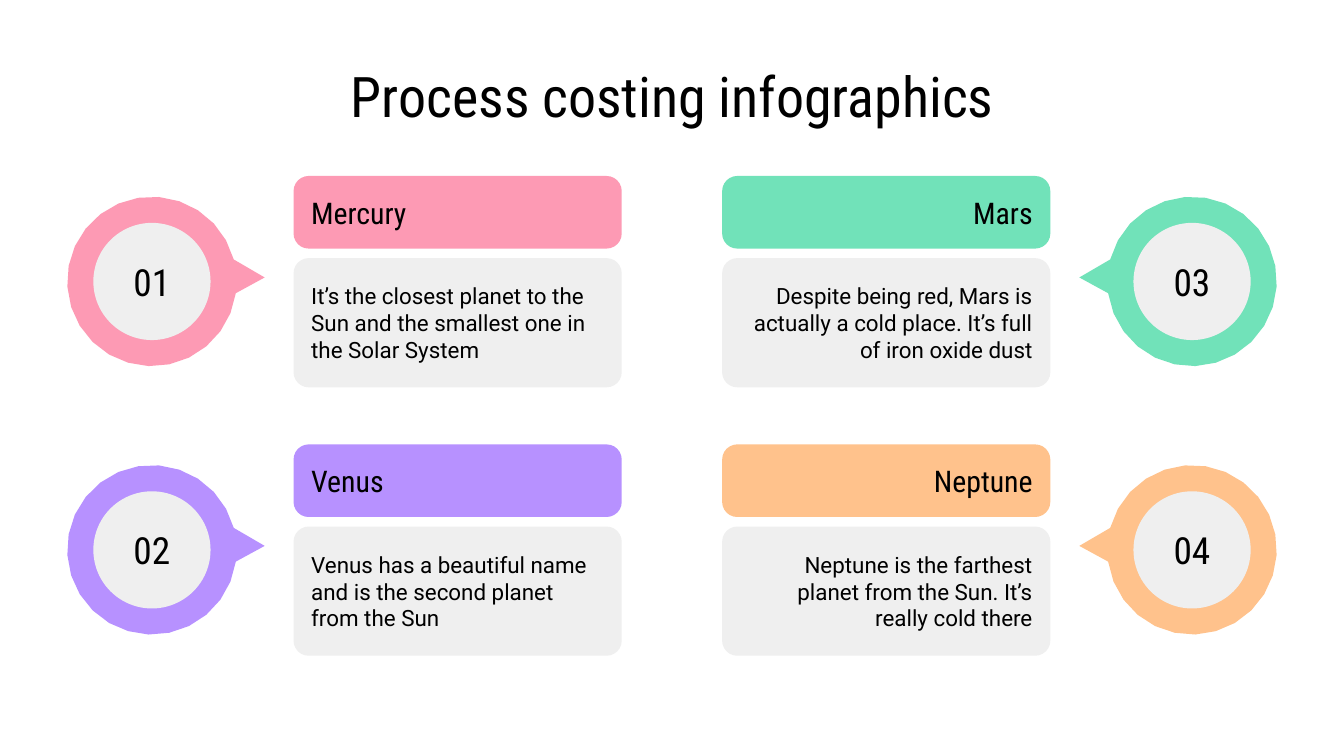
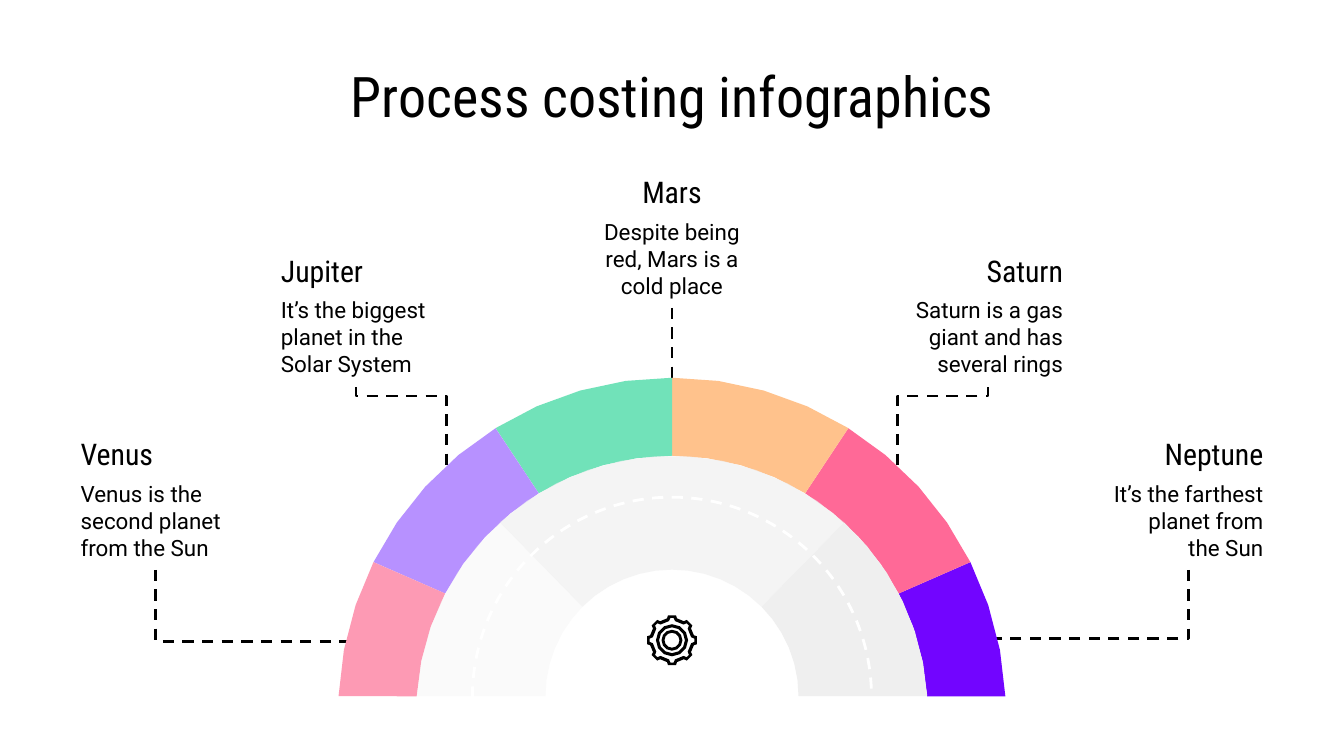
from math import asin, cos, degrees, radians, sin

from lxml.etree import SubElement
from pptx import Presentation
from pptx.dml.color import RGBColor
from pptx.enum.dml import MSO_LINE
from pptx.enum.shapes import MSO_CONNECTOR as Link, MSO_SHAPE as Preset
from pptx.enum.text import MSO_ANCHOR as Anchor, MSO_AUTO_SIZE as AutoSize, PP_ALIGN as Align
from pptx.oxml.ns import qn
from pptx.util import Pt

BLACK = RGBColor(0x00, 0x00, 0x00)
WHITE = RGBColor(0xFF, 0xFF, 0xFF)
GREY = RGBColor(0xEF, 0xEF, 0xEF)
PINK = RGBColor(0xFD, 0x9A, 0xB4)
PURPLE = RGBColor(0xB7, 0x91, 0xFF)
GREEN = RGBColor(0x71, 0xE2, 0xB9)
ORANGE = RGBColor(0xFF, 0xC2, 0x8C)
ROSE = RGBColor(0xFF, 0x69, 0x97)
VIOLET = RGBColor(0x72, 0x05, 0xFF)

HEAD_FONT, BODY_FONT = "Roboto Condensed", "Roboto"
TITLE = "Process costing infographics"
WIDTH, HEIGHT = 720, 405
INSET = 7.2

CARD_X, CARD_W, CARD_TOP, ROW_PITCH = 157.3, 175.8, 94.3, 143.8
HUB_X, HUB_DROP, HUB_R, HUB_HOLE = 81.4, 56.5, 45.4, 31.4

DIAL_X, DIAL_Y, DIAL_BASE = 360, 381.2, 373
DIAL_OUTER, DIAL_INNER, DIAL_HOLE = 178.8, 137, 67.8
GEAR_Y = 343
LABEL_W = 95


def write(shape, text, size, font, align=Align.LEFT, anchor=Anchor.MIDDLE):
    """Put one formatted run into a shape's text frame."""
    frame = shape.text_frame
    frame.word_wrap = True
    frame.auto_size = AutoSize.NONE
    frame.vertical_anchor = anchor
    frame.margin_left = frame.margin_right = Pt(INSET)
    frame.margin_top = frame.margin_bottom = Pt(INSET)
    paragraph = frame.paragraphs[0]
    paragraph.alignment = align
    run = paragraph.add_run()
    run.text = text
    run.font.size = Pt(size)
    run.font.name = font
    run.font.color.rgb = BLACK


def paint(shape, colour, opacity=100):
    """Give a shape a flat fill without line or shadow."""
    shape.shadow.inherit = False
    shape.line.fill.background()
    shape.fill.solid()
    shape.fill.fore_color.rgb = colour
    if opacity < 100:
        tint = shape._element.spPr.find(qn("a:solidFill")).find(qn("a:srgbClr"))
        SubElement(tint, qn("a:alpha")).set("val", str(opacity * 1000))


def dash(line, colour):
    """Make a line dashed and 1.5 points wide."""
    line.width = Pt(1.5)
    line.color.rgb = colour
    line.dash_style = MSO_LINE.DASH


def add_block(shapes, preset, box, colour, radius=None):
    """Add a filled preset shape, with a corner radius if given."""
    block = shapes.add_shape(preset, *map(Pt, box))
    paint(block, colour)
    if radius is not None:
        block.adjustments[0] = radius / min(box[2:])
    return block


def add_outline(shapes, contours, colour, opacity=100):
    """Add a filled freeform made of one or more closed contours."""
    contours = [[(Pt(x), Pt(y)) for x, y in contour] for contour in contours]
    builder = shapes.build_freeform(*contours[0][0])
    builder.add_line_segments(contours[0][1:])
    for contour in contours[1:]:
        builder.move_to(*contour[0])
        builder.add_line_segments(contour[1:])
    paint(builder.convert_to_shape(), colour, opacity)


def polar(x, y, radius, angle):
    """Return the point at an anticlockwise angle in degrees."""
    return x + radius * cos(radians(angle)), y - radius * sin(radians(angle))


def arc(x, y, radius, start, end, step):
    """Return points along a circular arc, about one per step of degrees."""
    count = round(abs(end - start) / step)
    return [polar(x, y, radius, start + (end - start) * i / count) for i in range(count + 1)]


def dial_arc(y, radius, start, end):
    """Return an arc of the dial that stops at its base line."""
    low = degrees(asin((y - DIAL_BASE) / radius))
    start, end = (min(max(angle, low), 180 - low) for angle in (start, end))
    return arc(DIAL_X, y, radius, start, end, 7.5)


def add_titled_slide(deck):
    """Add a slide with the shared title."""
    slide = deck.slides.add_slide(deck.slide_layouts[5])
    title = slide.shapes.title
    title.left, title.top, title.width, title.height = map(Pt, (36, 32.4, 648.7, 37.4))
    write(title, TITLE, 30, HEAD_FONT, Align.CENTER)
    return slide


def add_planet_card(slide, number, planet, fact, colour):
    """Add a heading, a fact and a numbered pin, mirrored in the right column."""
    column, row = divmod(number - 1, 2)
    side = -1 if column else 1
    align = Align.RIGHT if column else Align.LEFT
    left = WIDTH - CARD_X - CARD_W if column else CARD_X
    top = CARD_TOP + row * ROW_PITCH
    hub_x = WIDTH - HUB_X if column else HUB_X
    hub_y = top + HUB_DROP
    shapes = slide.shapes.add_group_shape().shapes

    panel = add_block(shapes, Preset.ROUNDED_RECTANGLE, (left, top + 44, CARD_W, 69.2), GREY, 8.1)
    write(panel, fact, 12, BODY_FONT, align)
    heading = add_block(shapes, Preset.ROUNDED_RECTANGLE, (left, top, CARD_W, 38.9), colour, 8.1)
    write(heading, planet, 16, HEAD_FONT, align)

    rim = arc(0, 0, HUB_R, 15, 352, 14) + [(60.4, -2.1)]
    add_outline(shapes, [[(hub_x + side * x, hub_y + y) for x, y in rim]], colour)
    hole = (hub_x - HUB_HOLE, hub_y - HUB_HOLE, 2 * HUB_HOLE, 2 * HUB_HOLE)
    write(add_block(shapes, Preset.OVAL, hole, GREY), f"{number:02}", 20, HEAD_FONT, Align.CENTER)


def style_leader(leader):
    """Make a connector a dashed black line without shadow."""
    dash(leader.line, BLACK)
    SubElement(leader._element.spPr, qn("a:effectLst"))


def add_elbow(slide, start, end, bend=None):
    """Add a bent leader that leaves downwards; bend is the share before a middle turn."""
    (x1, y1), (x2, y2) = start, end
    mid_x, mid_y = (x1 + x2) / 2, (y1 + y2) / 2
    half_w, half_h = (y2 - y1) / 2, abs(x2 - x1) / 2
    turn = -1 if x2 > x1 else 1
    leader = slide.shapes.add_connector(
        Link.ELBOW,
        Pt(mid_x - turn * half_w), Pt(mid_y - half_h),
        Pt(mid_x + turn * half_w), Pt(mid_y + half_h),
    )
    properties = leader._element.spPr
    properties.find(qn("a:xfrm")).set("rot", str(turn * 90 % 360 * 60000))
    geometry = properties.find(qn("a:prstGeom"))
    if bend is None:
        geometry.set("prst", "bentConnector2")
    else:
        guide = SubElement(geometry.find(qn("a:avLst")), qn("a:gd"))
        guide.set("name", "adj1")
        guide.set("fmla", f"val {round(bend * 100000)}")
    style_leader(leader)


def add_leaders(slide):
    """Add the dashed leaders from the labels to the dial."""
    add_elbow(slide, (83.4, 305.3), (205.2, 343.6))
    add_elbow(slide, (636.6, 305.3), (517.7, 342))
    add_elbow(slide, (190.7, 207.4), (239.2, 267.1), 0.08)
    add_elbow(slide, (529.3, 207.4), (480.8, 267.1), 0.08)
    style_leader(slide.shapes.add_connector(
        Link.STRAIGHT, Pt(DIAL_X), Pt(164.9), Pt(DIAL_X), Pt(217.4)))


def add_dial(slide):
    """Add the half-round dial with its coloured and grey bands."""
    shapes = slide.shapes.add_group_shape().shapes
    outer_cuts = (0, 26.6, 58.1, 90, 121.9, 153.4, 180)
    inner_cuts = (0, 27.5, 58.6, 90, 121.4, 152.5, 180)
    for i, colour in enumerate((VIOLET, ROSE, ORANGE, GREEN, PURPLE, PINK)):
        outer = dial_arc(DIAL_Y, DIAL_OUTER, *outer_cuts[i:i + 2])
        inner = dial_arc(DIAL_Y, DIAL_INNER, *inner_cuts[i:i + 2])
        add_outline(shapes, [outer + inner[::-1]], colour)

    rim_cuts, hole_cuts = (0, 47.7, 132.3, 180), (0, 45, 135, 180)
    for i, opacity in ((2, 31), (0, 100), (1, 67)):
        rim = dial_arc(DIAL_Y, DIAL_INNER, *rim_cuts[i:i + 2])
        hole = dial_arc(DIAL_BASE, DIAL_HOLE, *hole_cuts[i:i + 2])
        add_outline(shapes, [rim + hole[::-1]], GREY, opacity)

    track = shapes.add_shape(Preset.ARC, Pt(253.1), Pt(266.4), Pt(213.8), Pt(213.8))
    track.shadow.inherit = False
    track.fill.background()
    track.adjustments[0], track.adjustments[1] = 107.84, 0
    dash(track.line, WHITE)


def gear_contour(tip, root, tip_half, root_half, teeth=8):
    """Return the toothed contour of the gear."""
    profile = ((root, -root_half), (tip, -tip_half), (tip, tip_half), (root, root_half))
    return [polar(DIAL_X, GEAR_Y, radius, 360 / teeth * tooth + angle)
            for tooth in range(teeth) for radius, angle in profile]


def add_gear(slide):
    """Add the gear icon."""
    shapes = slide.shapes.add_group_shape().shapes
    add_outline(shapes, [gear_contour(13.5, 12, 9, 13), gear_contour(12, 10.4, 4, 9)], BLACK)
    for outer, inner in ((8.6, 6.9), (5.6, 4)):
        circles = [arc(DIAL_X, GEAR_Y, radius, 0, 360, 30) for radius in (outer, inner)]
        add_outline(shapes, circles, BLACK)


def add_label(slide, left, top, align, planet, fact):
    """Add a planet name with its fact below."""
    shapes = slide.shapes.add_group_shape().shapes
    name = shapes.add_textbox(Pt(left), Pt(top), Pt(LABEL_W), Pt(25.2))
    write(name, planet, 16, HEAD_FONT, align)
    detail = shapes.add_textbox(Pt(left), Pt(top + 19.5), Pt(LABEL_W), Pt(55.4))
    write(detail, fact, 12, BODY_FONT, align, Anchor.TOP)


def main():
    """Build both slides and save the deck."""
    deck = Presentation()
    deck.slide_width, deck.slide_height = Pt(WIDTH), Pt(HEIGHT)

    cards = add_titled_slide(deck)
    planets = (
        ("Mercury", "It’s the closest planet to the Sun and the smallest one in the Solar System", PINK),
        ("Venus", "Venus has a beautiful name and is the second planet from the Sun", PURPLE),
        ("Mars", "Despite being red, Mars is actually a cold place. It’s full of iron oxide dust", GREEN),
        ("Neptune", "Neptune is the farthest planet from the Sun. It’s really cold there", ORANGE),
    )
    for number, planet in enumerate(planets, 1):
        add_planet_card(cards, number, *planet)

    dial = add_titled_slide(deck)
    add_leaders(dial)
    add_dial(dial)
    add_gear(dial)
    labels = (
        (36.1, 230.5, Align.LEFT, "Venus", "Venus is the second planet from the Sun"),
        (143.4, 132.2, Align.LEFT, "Jupiter", "It’s the biggest planet in the Solar System"),
        (312.5, 90.1, Align.CENTER, "Mars", "Despite being red, Mars is a cold place"),
        (481.6, 132.2, Align.RIGHT, "Saturn", "Saturn is a gas giant and has several rings"),
        (588.9, 230.5, Align.RIGHT, "Neptune", "It’s the farthest planet from the Sun"),
    )
    for label in labels:
        add_label(dial, *label)

    deck.save("out.pptx")


if __name__ == "__main__":
    main()
